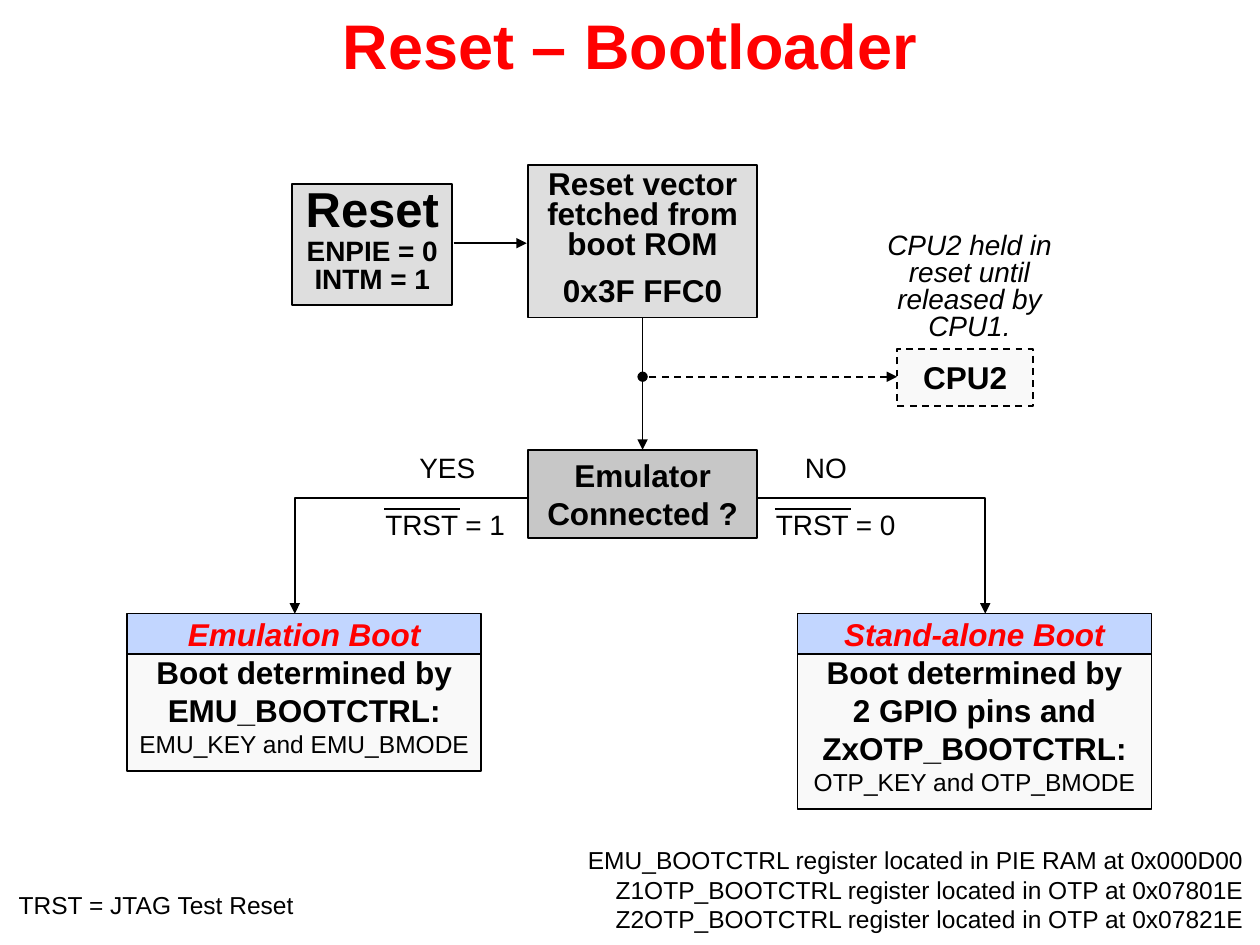
from lxml.etree import SubElement
from pptx import Presentation
from pptx.dml.color import RGBColor
from pptx.enum.dml import MSO_LINE
from pptx.enum.shapes import MSO_CONNECTOR, MSO_SHAPE
from pptx.enum.text import MSO_ANCHOR as ANCHOR, PP_ALIGN as ALIGN
from pptx.oxml.ns import qn
from pptx.util import Inches, Pt

BLACK = RGBColor(0x00, 0x00, 0x00)
RED = RGBColor(0xFF, 0x00, 0x00)
GRAY = RGBColor(0xDE, 0xDE, 0xDE)
DARK_GRAY = RGBColor(0xC7, 0xC7, 0xC7)
PALE = RGBColor(0xF9, 0xF9, 0xF9)
BLUE = RGBColor(0xC2, 0xD6, 0xFF)
FONT = "Arial"


def write(sp, paras, align=ALIGN.LEFT, spacing=0.8, wrap=True):
    """Fill a shape; each paragraph is (text, size, options)."""
    tf = sp.text_frame
    tf.word_wrap = wrap
    tf.vertical_anchor = ANCHOR.TOP
    tf.text = "\n".join(text for text, _, _ in paras)
    for p, (_, size, opts) in zip(tf.paragraphs, paras):
        p.alignment = align
        p.line_spacing = opts.get("spacing", spacing)
        p.space_before = Pt(opts.get("before", 0))
        for r in p.runs:
            f = r.font
            f.name, f.size = FONT, Pt(size)
            f.bold, f.italic = opts.get("bold", False), opts.get("italic", False)
            f.color.rgb = opts.get("color", BLACK)


def add_label(shapes, box, paras, wrap=False, **style):
    sp = shapes.add_textbox(*map(Inches, box))
    write(sp, paras, wrap=wrap, **style)


def add_box(shapes, box, fill, paras=(), **style):
    sp = shapes.add_shape(MSO_SHAPE.RECTANGLE, *map(Inches, box))
    sp.shadow.inherit = False
    sp.fill.solid()
    sp.fill.fore_color.rgb = fill
    set_line(sp.line)
    if paras:
        write(sp, paras, align=ALIGN.CENTER, **style)
    return sp


def set_line(line, width=1, dashed=False, head=None, tail=None):
    line.color.rgb = BLACK
    line.width = Pt(width)
    if dashed:
        line.dash_style = MSO_LINE.DASH
    for tag, kind in (("a:headEnd", head), ("a:tailEnd", tail)):
        if kind:
            SubElement(line._get_or_add_ln(), qn(tag), type=kind)


def add_line(shapes, start, end, **style):
    cx = shapes.add_connector(MSO_CONNECTOR.STRAIGHT, *map(Inches, start + end))
    set_line(cx.line, **style)
    SubElement(cx._element.spPr, qn("a:effectLst"))


def add_elbow(shapes, x, end_x, top=3.95, bottom=4.87):
    """Arrow that runs sideways and then down."""
    builder = shapes.build_freeform(Inches(x), Inches(top))
    corners = [(Inches(end_x), Inches(y)) for y in (top, bottom)]
    builder.add_line_segments(corners, close=False)
    sp = builder.convert_to_shape()
    sp.shadow.inherit = False
    sp.fill.background()
    set_line(sp.line, tail="triangle")


def add_boot_card(slide, left, height, heading, body, keys):
    shapes = slide.shapes.add_group_shape().shapes
    add_box(shapes, (left, 4.87, 2.81, 0.33), BLUE)
    add_box(shapes, (left, 5.19, 2.81, height), PALE)
    paras = [(heading, 18, {"bold": True, "italic": True, "color": RED})]
    paras += [(text, 18, {"bold": True, "before": 4.5}) for text in body]
    paras.append((keys, 14, {"before": 3.5}))
    # The label is slightly wider than the card so the key line stays whole
    add_label(shapes, (left - 0.05, 4.89, 2.91, height + 0.31), paras, align=ALIGN.CENTER)


def add_trst(slide, left, value):
    """TRST condition with its overbar."""
    shapes = slide.shapes.add_group_shape().shapes
    add_label(shapes, (left, 4.03, 1.16, 0.31), [(f"TRST = {value}", 16, {})])
    add_line(shapes, (left + 0.09, 4.04), (left + 0.69, 4.04), width=1.5)


def main():
    prs = Presentation()
    prs.slide_width, prs.slide_height = Inches(10), Inches(7.5)
    slide = prs.slides.add_slide(prs.slide_layouts[5])
    shapes = slide.shapes
    bold = {"bold": True}

    # Title
    title = shapes.title
    title.left, title.top = Inches(0), Inches(0)
    title.width, title.height = Inches(10), Inches(0.81)
    write(title, [("Reset – Bootloader", 36, {"bold": True, "color": RED})],
          align=ALIGN.CENTER, spacing=1.0)

    # Footnotes
    add_label(shapes, (0.05, 7.06, 2.4, 0.29), [("TRST = JTAG Test Reset", 14, {})])
    registers = [("EMU", "PIE RAM", "0x000D00"), ("Z1OTP", "OTP", "0x07801E"),
                 ("Z2OTP", "OTP", "0x07821E")]
    notes = [(f"{name}_BOOTCTRL register located in {memory} at {address}", 14, {})
             for name, memory, address in registers]
    add_label(shapes, (4.54, 6.66, 5.43, 0.81), notes, align=ALIGN.RIGHT, spacing=1.0)

    # Reset steps
    add_box(shapes, (4.19, 1.31, 1.82, 1.21), GRAY,
            [("Reset vector fetched from boot ROM", 18, bold),
             ("0x3F FFC0", 18, {"bold": True, "before": 9})])
    flag = {"bold": True, "spacing": 0.5, "before": 6.4}
    add_box(shapes, (2.32, 1.46, 1.27, 0.96), GRAY,
            [("Reset", 28, bold), ("ENPIE = 0", 16, flag), ("INTM = 1", 16, flag)])
    add_line(shapes, (3.6, 1.93), (4.18, 1.93), tail="triangle")

    # Boot modes
    add_boot_card(slide, 1.01, 0.93, "Emulation Boot",
                  ["Boot determined by", "EMU_BOOTCTRL:"], "EMU_KEY and EMU_BMODE")
    add_boot_card(slide, 6.33, 1.23, "Stand-alone Boot",
                  ["Boot determined by", "2 GPIO pins and", "ZxOTP_BOOTCTRL:"],
                  "OTP_KEY and OTP_BMODE")

    # Emulator decision and its branches
    add_elbow(shapes, 4.21, 2.34)
    add_elbow(shapes, 5.96, 7.82)
    add_trst(slide, 2.96, 1)
    add_trst(slide, 6.06, 0)
    add_label(shapes, (3.23, 3.58, 0.64, 0.31), [("YES", 16, {})])
    add_label(shapes, (6.29, 3.58, 0.53, 0.31), [("NO", 16, {})])
    add_box(shapes, (4.19, 3.57, 1.82, 0.7), DARK_GRAY,
            [("Emulator Connected ?", 18, bold)], spacing=1.0)
    add_line(shapes, (5.1, 2.52), (5.1, 3.57), tail="triangle")

    # CPU2 branch
    cpu2 = add_box(shapes, (7.12, 2.77, 1.08, 0.45), PALE, [("CPU2", 18, bold)], wrap=False)
    cpu2.line.dash_style = MSO_LINE.DASH
    tf = cpu2.text_frame
    tf.vertical_anchor = ANCHOR.MIDDLE
    tf.margin_left = tf.margin_right = Inches(0.2)
    tf.margin_top, tf.margin_bottom = Inches(0.13), Inches(0.08)
    add_line(shapes, (7.12, 2.99), (5.1, 2.99), dashed=True, head="triangle", tail="oval")
    add_label(shapes, (6.91, 1.81, 1.57, 0.96),
              [("CPU2 held in reset until released by CPU1.", 16, {"italic": True})],
              wrap=True, align=ALIGN.CENTER)

    prs.save("out.pptx")


if __name__ == "__main__":
    main()
